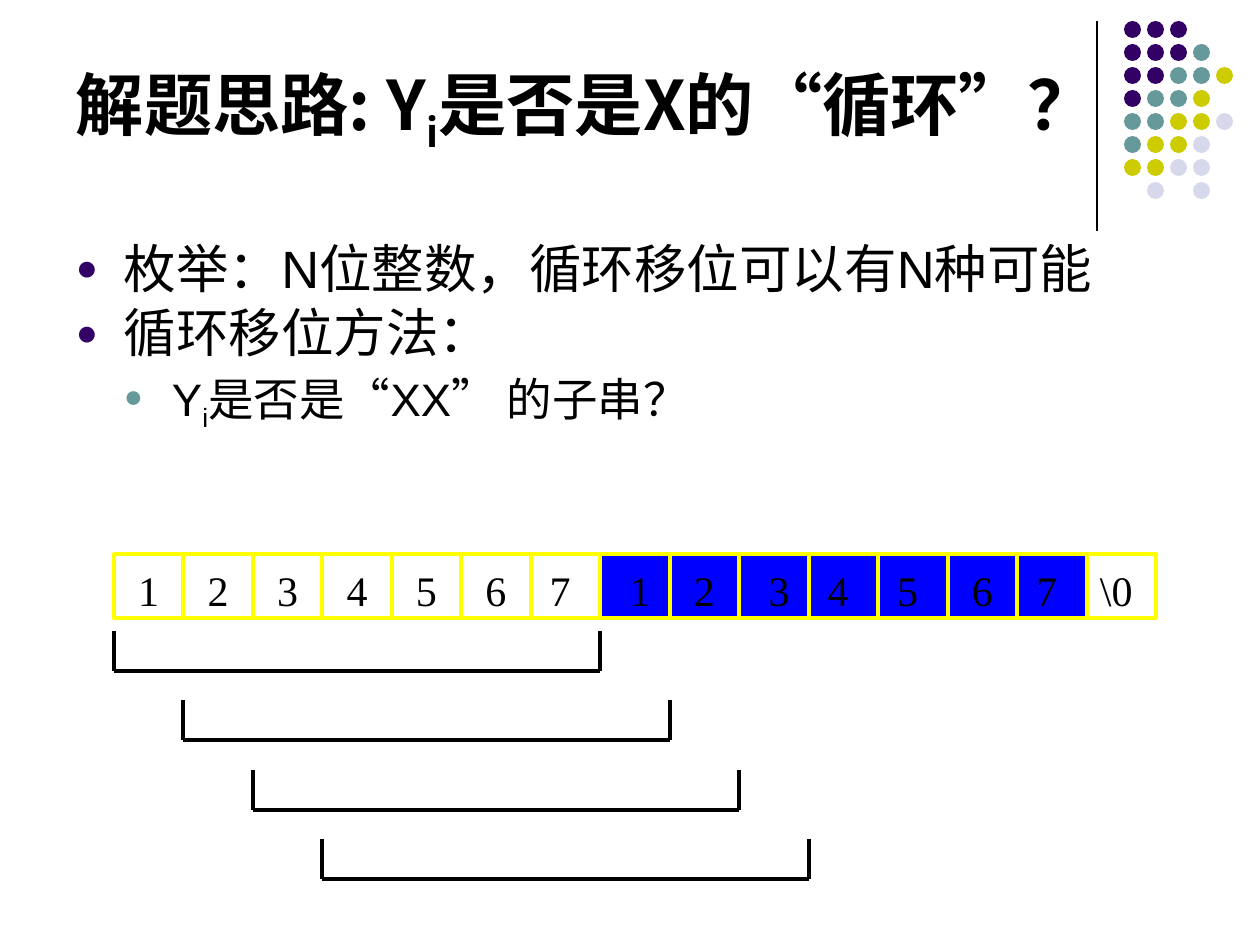
from dataclasses import dataclass

from lxml import etree
from pptx import Presentation
from pptx.dml.color import RGBColor
from pptx.enum.shapes import MSO_CONNECTOR, MSO_SHAPE
from pptx.enum.text import MSO_ANCHOR, PP_ALIGN
from pptx.oxml.ns import qn
from pptx.util import Pt

PX = 914400 / 126
SLIDE_WIDTH, SLIDE_HEIGHT = 1260, 945

BLACK = RGBColor(0x00, 0x00, 0x00)
PURPLE = RGBColor(0x33, 0x00, 0x66)
TEAL = RGBColor(0x66, 0x99, 0x99)
OLIVE = RGBColor(0xCC, 0xCC, 0x00)
LAVENDER = RGBColor(0xD8, 0xD8, 0xEC)
YELLOW = RGBColor(0xFF, 0xFF, 0x00)
BLUE = RGBColor(0x00, 0x00, 0xFF)

CJK_FONT = "Noto Sans CJK SC"
BODY_FONT = "Arial"
DIGIT_FONT = "Times New Roman"

RECTANGLE, ELLIPSE = MSO_SHAPE.RECTANGLE, MSO_SHAPE.OVAL
STRAIGHT = MSO_CONNECTOR.STRAIGHT
TOP, MIDDLE = MSO_ANCHOR.TOP, MSO_ANCHOR.MIDDLE
CENTER = PP_ALIGN.CENTER

DOT_COLORS = {"P": PURPLE, "T": TEAL, "O": OLIVE, "L": LAVENDER}
DOT_ROWS = ("PPP", "PPPT", "PPTTO", "PTTO", "TTOOL", "TOOL", "OOLL", ".L.L")
DOT_LEFT, DOT_TOP, DOT_STEP, DOT_SIZE = 1124, 21, 23, 17

DIGITS = ("1", "2", "3", "4", "5", "6", "7 ",
          " 1", "2", " 3", "4 ", "5 ", "6", "7 ", "\\0 ")
NUMBER_LENGTH = 7
CELL_TOP, CELL_HEIGHT = 554, 64
BRACKET_COUNT, BRACKET_TOP, BRACKET_HEIGHT = 4, 631, 40


@dataclass(frozen=True)
class Box:
    left: int
    top: int
    width: int
    height: int

    def emu(self) -> list[int]:
        return [px(n) for n in (self.left, self.top, self.width, self.height)]


@dataclass(frozen=True)
class Run:
    text: str
    subscript: bool = False
    font: str = ""


@dataclass(frozen=True)
class Bullet:
    runs: tuple[Run, ...]
    size: int
    color: RGBColor
    level: int = 0


BULLETS = (
    Bullet((Run("枚举：N位整数，循环移位可以有N种可能"),), 30, PURPLE),
    Bullet((Run("循环移位方法："),), 30, PURPLE),
    Bullet((Run("Y"), Run("i", subscript=True), Run("是否是“XX” 的子串？")),
           26, TEAL, level=1),
)
TITLE = (Run("解题思路: Y"), Run("i", subscript=True), Run("是否是X的"),
         Run("“", font=BODY_FONT), Run("循环"), Run("”", font=BODY_FONT), Run("？"))


def px(length: int) -> int:
    return round(length * PX)


def step(index: int) -> int:
    """Offset of a cell edge: cells are 69.5 px apart."""
    return index * 139 // 2


def cell_edge(index: int) -> int:
    return 114 + step(index)


def write_text(paragraph, runs, *, size, font, bold=False, align=None,
               line_spacing=None, space_before=0) -> None:
    paragraph.alignment = align
    paragraph.line_spacing = line_spacing
    paragraph.space_before = Pt(space_before)
    for part in runs:
        run = paragraph.add_run()
        run.text = part.text
        run.font.size = Pt(size)
        run.font.bold = bold
        run.font.name = part.font or font
        run.font.color.rgb = BLACK
        properties = run.font._element
        properties.set("lang", "zh-CN")
        if part.subscript:
            properties.set("baseline", "-25000")
        east_asian = etree.Element(qn("a:ea"), typeface=CJK_FONT)
        properties.find(qn("a:latin")).addnext(east_asian)


def set_frame(frame, anchor, side: int, top: int, bottom: int) -> None:
    frame.word_wrap = True
    frame.vertical_anchor = anchor
    frame.margin_left = frame.margin_right = px(side)
    frame.margin_top, frame.margin_bottom = px(top), px(bottom)


def add_bullet(paragraph, bullet: Bullet) -> None:
    properties = paragraph._p.get_or_add_pPr()
    properties.set("marL", str(px(48 * (bullet.level + 1))))
    properties.set("indent", str(px(-48)))
    color = etree.SubElement(properties, qn("a:buClr"))
    etree.SubElement(color, qn("a:srgbClr"), val=str(bullet.color))
    etree.SubElement(properties, qn("a:buSzPct"), val="70000")
    etree.SubElement(properties, qn("a:buFont"), typeface=BODY_FONT)
    etree.SubElement(properties, qn("a:buChar"), char="●")


def add_filled(slide, kind, box: Box, fill=None, line=None):
    shape = slide.shapes.add_shape(kind, *box.emu())
    shape.shadow.inherit = False
    if fill is None:
        shape.fill.background()
    else:
        shape.fill.solid()
        shape.fill.fore_color.rgb = fill
    if line is None:
        shape.line.fill.background()
    else:
        shape.line.color.rgb = line
        shape.line.width = Pt(2.25)
    return shape


def add_line(slide, start: tuple[int, int], end: tuple[int, int], width: float) -> None:
    ends = [px(n) for n in (*start, *end)]
    connector = slide.shapes.add_connector(STRAIGHT, *ends)
    connector.line.color.rgb = BLACK
    connector.line.width = Pt(width)
    etree.SubElement(connector._element.spPr, qn("a:effectLst"))


def add_dots(slide) -> None:
    for row, colors in enumerate(DOT_ROWS):
        for column, key in enumerate(colors):
            if key in DOT_COLORS:
                box = Box(DOT_LEFT + column * DOT_STEP, DOT_TOP + row * DOT_STEP,
                          DOT_SIZE, DOT_SIZE)
                add_filled(slide, ELLIPSE, box, fill=DOT_COLORS[key])


def add_title(slide) -> None:
    frame = slide.shapes.add_textbox(*Box(63, 16, 1040, 179).emu()).text_frame
    set_frame(frame, MIDDLE, 13, 6, 6)
    write_text(frame.paragraphs[0], TITLE, size=39, font=CJK_FONT, bold=True,
               line_spacing=0.9)


def add_body(slide) -> None:
    frame = slide.shapes.add_textbox(*Box(63, 237, 1134, 607).emu()).text_frame
    set_frame(frame, TOP, 13, 6, 6)
    for index, bullet in enumerate(BULLETS):
        paragraph = frame.add_paragraph() if index else frame.paragraphs[0]
        write_text(paragraph, bullet.runs, size=bullet.size, font=BODY_FONT,
                   line_spacing=0.9, space_before=4.4)
        add_bullet(paragraph, bullet)


def add_cells(slide) -> None:
    for index, digit in enumerate(DIGITS):
        left = cell_edge(index)
        repeated = NUMBER_LENGTH <= index < 2 * NUMBER_LENGTH
        box = Box(left, CELL_TOP, cell_edge(index + 1) - left, CELL_HEIGHT)
        cell = add_filled(slide, RECTANGLE, box, BLUE if repeated else None, YELLOW)
        set_frame(cell.text_frame, TOP, 3, 11, 0)
        write_text(cell.text_frame.paragraphs[0], (Run(digit),), size=24,
                   font=DIGIT_FONT, align=CENTER)


def add_brackets(slide) -> None:
    for index in range(BRACKET_COUNT):
        left, right = cell_edge(index), cell_edge(index + NUMBER_LENGTH)
        top = BRACKET_TOP + step(index)
        bottom = top + BRACKET_HEIGHT
        add_line(slide, (left, top), (left, bottom), 2.25)
        add_line(slide, (left, bottom), (right, bottom), 2.25)
        add_line(slide, (right, top), (right, bottom), 2.25)


def main() -> None:
    presentation = Presentation()
    presentation.slide_width = px(SLIDE_WIDTH)
    presentation.slide_height = px(SLIDE_HEIGHT)
    slide = presentation.slides.add_slide(presentation.slide_layouts[6])
    add_line(slide, (1097, 21), (1097, 231), 0.75)
    add_dots(slide)
    add_title(slide)
    add_body(slide)
    add_cells(slide)
    add_brackets(slide)
    presentation.save("out.pptx")


if __name__ == "__main__":
    main()
